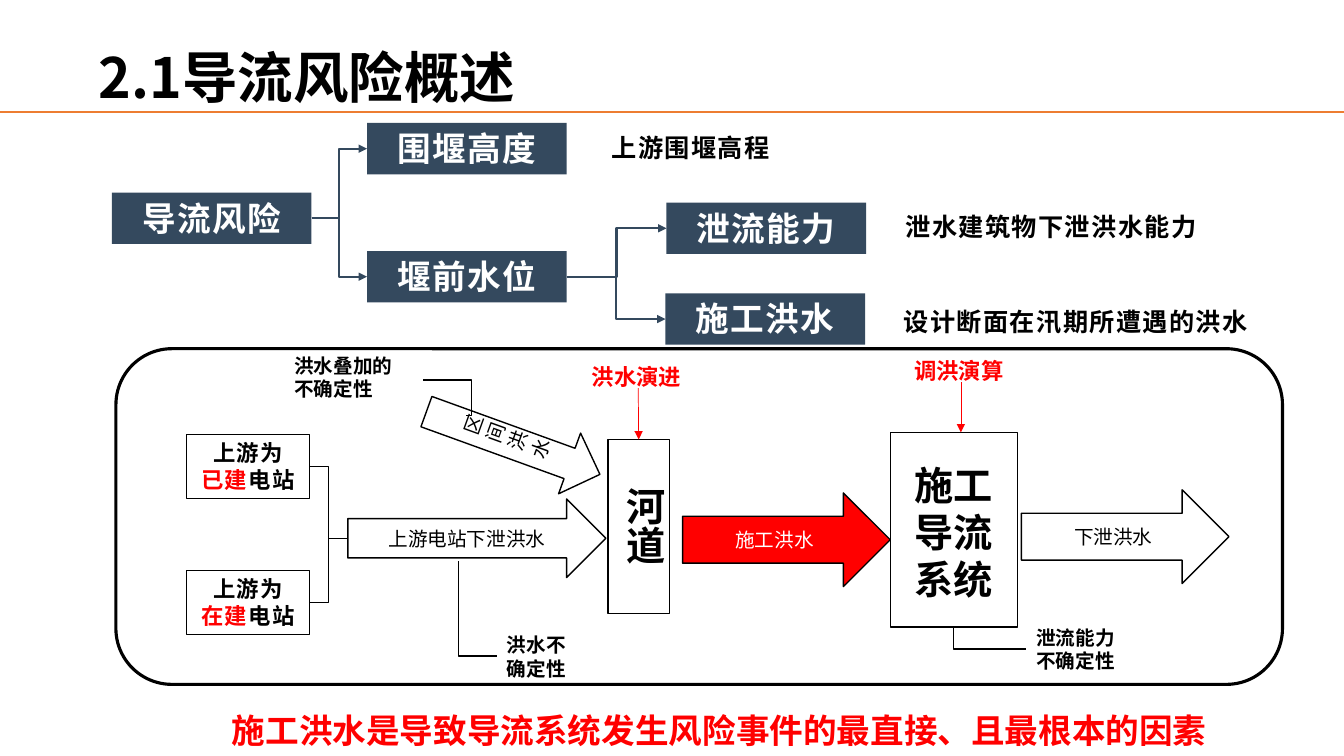
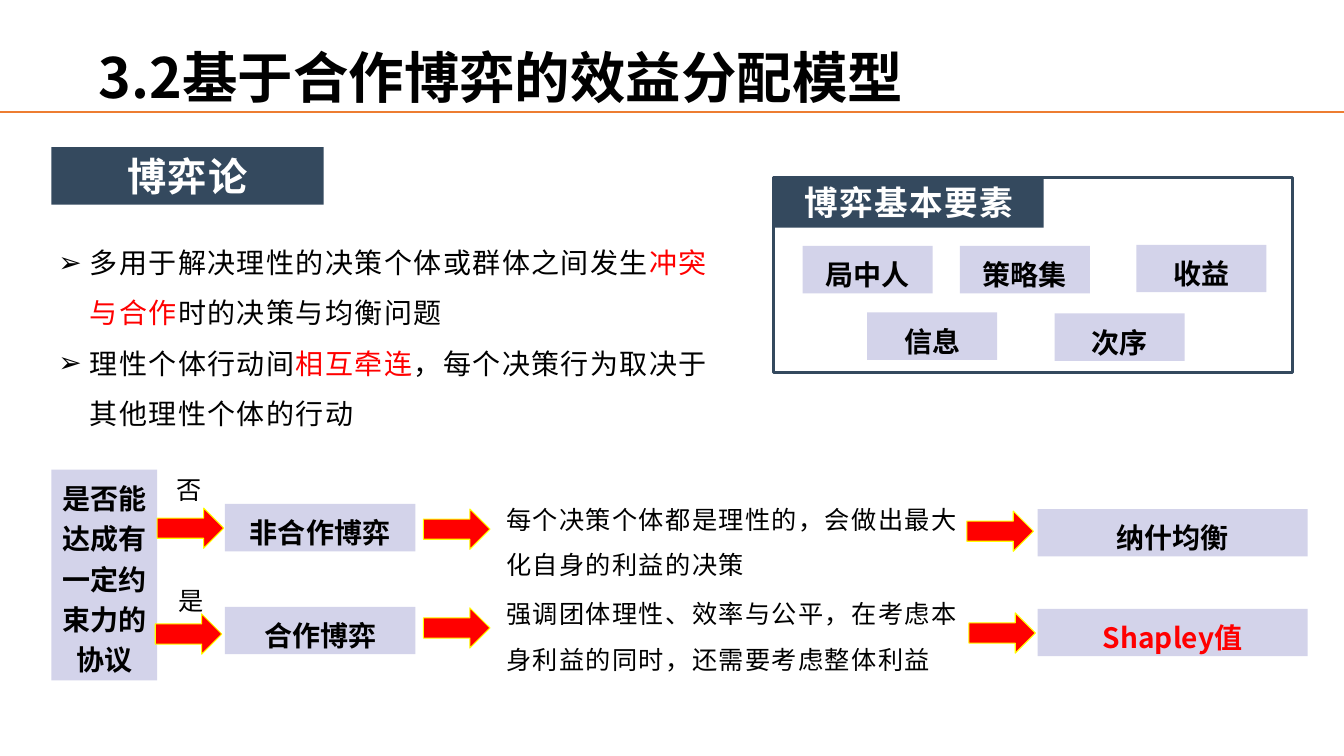
"""Build two slides on diversion risk and cooperative-game benefit sharing."""
from lxml import etree
from pptx import Presentation
from pptx.dml.color import RGBColor
from pptx.enum.shapes import MSO_CONNECTOR, MSO_SHAPE
from pptx.enum.text import MSO_ANCHOR, MSO_AUTO_SIZE, PP_ALIGN
from pptx.oxml.ns import qn
from pptx.util import Inches, Pt

NAVY = RGBColor(0x34, 0x49, 0x5E)
BLACK = RGBColor(0, 0, 0)
WHITE = RGBColor(255, 255, 255)
RED = RGBColor(255, 0, 0)
YELLOW = RGBColor(255, 255, 0)
ORANGE = RGBColor(0xED, 0x7D, 0x31)
INDIGO = RGBColor(0x26, 0x26, 0x99)
FONT = "Noto Sans CJK SC"
RECT, ROUND = MSO_SHAPE.RECTANGLE, MSO_SHAPE.ROUNDED_RECTANGLE
RIGHT, DOWN = MSO_SHAPE.RIGHT_ARROW, MSO_SHAPE.DOWN_ARROW
STRAIGHT, ELBOW = MSO_CONNECTOR.STRAIGHT, MSO_CONNECTOR.ELBOW
LEFT, CENTER, JUSTIFY = PP_ALIGN.LEFT, PP_ALIGN.CENTER, PP_ALIGN.JUSTIFY
TOP, MIDDLE = MSO_ANCHOR.TOP, MSO_ANCHOR.MIDDLE


def box(s, kind, at, text="", size=14, color=BLACK, bold=True, align=LEFT, spc=0,
        spacing=None, after=None, margins=None, anchor=TOP, wrap=True, font=FONT,
        fill=None, alpha=None, line=None, width=1, bullet=None):
    """Add a shape or text box; parts of the text between bars are red."""
    at = [Inches(v) for v in at]
    if kind is None:
        sp = s.shapes.add_textbox(*at)
    else:
        sp = s.shapes.add_shape(kind, *at)
        sp.shadow.inherit = False
        sp.fill.background()
        sp.line.fill.background()
    if fill is not None:
        sp.fill.solid()
        sp.fill.fore_color.rgb = fill
    if alpha:
        clr = sp.element.spPr.find(".//" + qn("a:srgbClr"))
        etree.SubElement(clr, qn("a:alpha")).set("val", str(alpha * 1000))
    if line is not None:
        sp.line.color.rgb = line
        sp.line.width = Pt(width)
    if not text:
        return sp
    tf = sp.text_frame
    tf.word_wrap = wrap
    tf.vertical_anchor = anchor
    tf.auto_size = MSO_AUTO_SIZE.SHAPE_TO_FIT_TEXT if anchor == TOP else MSO_AUTO_SIZE.NONE
    if margins:
        tf.margin_left = tf.margin_right = Inches(margins[0])
        tf.margin_top = tf.margin_bottom = Inches(margins[1])
    for i, words in enumerate(text.split("\n")):
        p = tf.add_paragraph() if i else tf.paragraphs[0]
        if bullet:
            pPr = p._p.get_or_add_pPr()
            pPr.set("marL", str(Inches(0.31)))
            pPr.set("indent", str(-Inches(0.31)))
            etree.SubElement(pPr, qn("a:buFont")).set("typeface", "Arial")
            etree.SubElement(pPr, qn("a:buChar")).set("char", bullet)
        p.alignment = align
        if spacing:
            p.line_spacing = spacing
        if after:
            p.space_after = Pt(after)
        for j, part in enumerate(words.split("|")):
            if not part:
                continue
            r = p.add_run()
            r.text = part
            r.font.size, r.font.bold, r.font.name = Pt(size), bold, font
            r.font.color.rgb = RED if j % 2 else color
            rPr = r._r.get_or_add_rPr()
            etree.SubElement(rPr, qn("a:ea")).set("typeface", font)
            if spc:
                rPr.set("spc", str(spc * 100))
    return sp


def link(s, kind, points, color, width, arrow=False, adj=None, begin=None, end=None):
    """Add a connector, joined to (shape, site) pairs where given."""
    c = s.shapes.add_connector(kind, *[Inches(v) for v in points])
    if begin:
        c.begin_connect(*begin)
    if end:
        c.end_connect(*end)
    c.line.color.rgb = color
    c.line.width = Pt(width)
    if arrow:
        etree.SubElement(c.line._get_or_add_ln(), qn("a:tailEnd")).set("type", "triangle")
    etree.SubElement(c.element.spPr, qn("a:effectLst"))
    if adj is not None:
        gd = etree.SubElement(c.element.spPr.find(".//" + qn("a:avLst")), qn("a:gd"))
        gd.set("name", "adj1")
        gd.set("fmla", f"val {round(adj * 100000)}")
    return c


prs = Presentation()
prs.slide_width, prs.slide_height = Inches(13.33), Inches(7.5)
layout = prs.slide_layouts[5]
slides = []
for title in ("2.1导流风险概述", "3.2基于合作博弈的效益分配模型"):
    s = prs.slides.add_slide(layout)
    sp = s.shapes.title
    sp.left, sp.top, sp.width, sp.height = [Inches(v) for v in (0.88, 0.43, 9.81, 0.73)]
    tf = sp.text_frame
    tf.text = title
    tf.vertical_anchor = MIDDLE
    tf.auto_size = MSO_AUTO_SIZE.NONE
    p = tf.paragraphs[0]
    p.alignment, p.line_spacing = LEFT, 0.9
    r = p.runs[0]
    r.font.size, r.font.bold, r.font.name = Pt(39.6), True, FONT
    r.font.color.rgb = BLACK
    etree.SubElement(r._r.get_or_add_rPr(), qn("a:ea")).set("typeface", FONT)
    slides.append(s)

rule = link(slides[0], STRAIGHT, (0, 1.11, 13.33, 1.11), ORANGE, 1)
layout.shapes.element.append(rule.element)

s = slides[0]
dark = dict(color=WHITE, align=CENTER, spc=1, fill=NAVY)
nodes = {}
for name, x, y in (("导流风险", 1.11, 1.91), ("围堰高度", 3.64, 1.22), ("堰前水位", 3.64, 2.49),
                   ("泄流能力", 6.61, 2.01), ("施工洪水", 6.6, 2.91)):
    nodes[name] = box(s, RECT, (x, y, 1.98, 0.51), name, 24, **dark)
for parent, child, points in (("导流风险", "围堰高度", (3.09, 2.16, 3.64, 1.47)),
                              ("导流风险", "堰前水位", (3.09, 2.16, 3.64, 2.74)),
                              ("堰前水位", "泄流能力", (5.62, 2.74, 6.61, 2.26)),
                              ("堰前水位", "施工洪水", (5.62, 2.74, 6.6, 3.16))):
    link(s, ELBOW, points, NAVY, 1.5, arrow=True,
         begin=(nodes[parent], 3), end=(nodes[child], 1))
for text, x, y, w in (("上游围堰高程", 5.71, 1.26, 2.28),
                      ("泄水建筑物下泄洪水能力", 8.62, 2.05, 3.61),
                      ("设计断面在汛期所遭遇的洪水", 8.62, 2.99, 4.1)):
    box(s, None, (x, y, w, 0.4), text, 18, align=CENTER, spc=1)

box(s, ROUND, (1.15, 3.46, 11.57, 3.33), line=BLACK, width=2.25)
river = box(s, RECT, (6.03, 4.36, 0.61, 1.73), line=BLACK)
sp = box(s, None, (6.01, 4.73, 0.67, 1.16), "河道", 28)
sp.element.txBody.bodyPr.set("vert", "eaVert")
system = box(s, RECT, (8.83, 4.29, 1.26, 1.93), line=BLACK)
box(s, None, (8.97, 4.53, 1.2, 1.51), "施工导流系统", 28)

for kind, at, text, fill, color, angle in (
        (RIGHT, (3.45, 4.95, 2.56, 0.78), "上游电站下泄洪水", None, BLACK, 0),
        (DOWN, (4.77, 3.48, 0.64, 1.83), "区间洪水", None, BLACK, 289.9),
        (RIGHT, (6.77, 4.89, 2.06, 0.93), "施工洪水", RED, WHITE, 0),
        (RIGHT, (10.13, 4.86, 2.06, 0.93), "下泄洪水", None, BLACK, 0)):
    sp = box(s, kind, at, text, color=color, bold=False, align=CENTER, anchor=MIDDLE,
             fill=fill, line=BLACK)
    sp.rotation = angle

for text, x, y, target in (("洪水演进", 5.77, 3.55, river), ("调洪演算", 8.97, 3.49, system)):
    box(s, RECT, (x, y, 1.11, 0.37), text, 16, RED, line=WHITE, width=0.75)
    link(s, STRAIGHT, (x + 0.56, y + 0.3, x + 0.56, y + 0.8), RED, 0.5, arrow=True,
         end=(target, 0) if target is river else None)

for text, at, points, adj in (
        ("洪水叠加的不确定性", (2.82, 3.46, 1.26, 0.57), (4.2, 3.77, 4.62, 4.12), 1.13),
        ("洪水不确定性", (4.93, 6.23, 0.91, 0.57), (4.55, 5.57, 4.93, 6.51), 0),
        ("泄流能力不确定性", (10.18, 6.16, 1.07, 0.57), (9.46, 6.23, 10.18, 6.44), 0)):
    box(s, None, at, text)
    link(s, ELBOW, points, BLACK, 1, adj=adj)

for state, y in (("已建", 4.31), ("在建", 5.66)):
    station = box(s, RECT, (1.85, y, 1.22, 0.64), f"上游为\n|{state}|电站", 16,
                  align=CENTER, spc=1, line=BLACK, width=0.75)
    link(s, ELBOW, (3.07, y + 0.32, 3.45, 5.34), BLACK, 0.5, begin=(station, 3))

box(s, None, (2.1, 6.72, 10.61, 0.87), "施工洪水是导致导流系统发生风险事件的最直接、且最根本的因素",
    24, RED, align=JUSTIFY, spacing=1.3, after=6, margins=(0.2, 0.2))

s = slides[1]
body = dict(bold=False, spc=1, spacing=1.5, margins=(0.07, 0.04))
box(s, RECT, (0.51, 1.46, 2.7, 0.57), "博弈论", 28, **dark)
box(s, None, (0.51, 2.23, 6.72, 2.03),
    "多用于解决理性的决策个体或群体之间发生|冲突与合作|时的决策与均衡问题\n"
    "理性个体行动间|相互牵连|，每个决策行为取决于其他理性个体的行动",
    20, bullet="➢", **body)
box(s, RECT, (7.67, 1.76, 2.68, 0.5), "博弈基本要素", 24, **dark)
box(s, RECT, (7.67, 1.76, 5.15, 1.94), line=NAVY, width=2.25)

for text, x, y, w, h in (("局中人", 7.96, 2.44, 1.29, 0.47), ("策略集", 9.52, 2.44, 1.29, 0.47),
                         ("收益", 11.27, 2.43, 1.29, 0.47), ("信息", 8.6, 3.1, 1.29, 0.47),
                         ("次序", 10.46, 3.11, 1.29, 0.47),
                         ("是否能达成有一定约束力的协议", 0.51, 4.66, 1.05, 2.09),
                         ("非合作博弈", 2.23, 5, 1.89, 0.47), ("合作博弈", 2.23, 6.02, 1.89, 0.47),
                         ("纳什均衡", 10.29, 5.05, 2.68, 0.47),
                         ("|Shapley值|", 10.29, 6.04, 2.68, 0.47)):
    box(s, RECT, (x, y, w, h), text, 20, align=CENTER, spacing=1.2, fill=INDIGO, alpha=20)

for text, y, w, h in (("每个决策个体都是理性的，会做出最大化自身的利益的决策", 4.81, 4.65, 0.95),
                      ("强调团体理性、效率与公平，在考虑本身利益的同时，还需要考虑整体利益", 5.75, 4.71, 0.93)):
    box(s, None, (4.95, y, w, h), text, 18, **body)
for x, y in ((1.56, 5.04), (4.2, 5.05), (9.59, 5.07), (1.54, 6.09), (4.2, 6.03), (9.61, 6.08)):
    box(s, RIGHT, (x, y, 0.66, 0.4), fill=RED, line=YELLOW, width=0.75)
for text, x, y in (("否", 1.65, 4.66), ("是", 1.67, 5.76)):
    box(s, None, (x, y, 0.45, 0.4), text, 18, bold=False, wrap=False, font="Arial")

prs.save("out.pptx")
